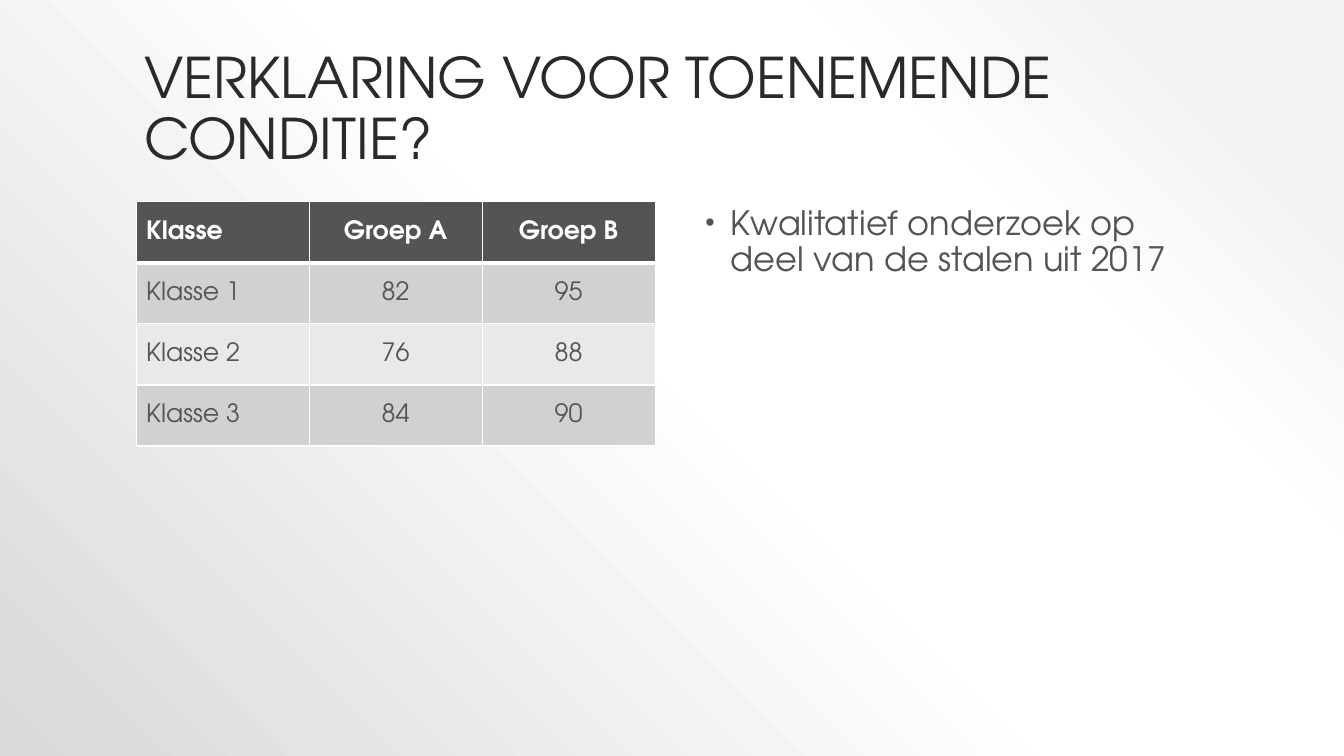
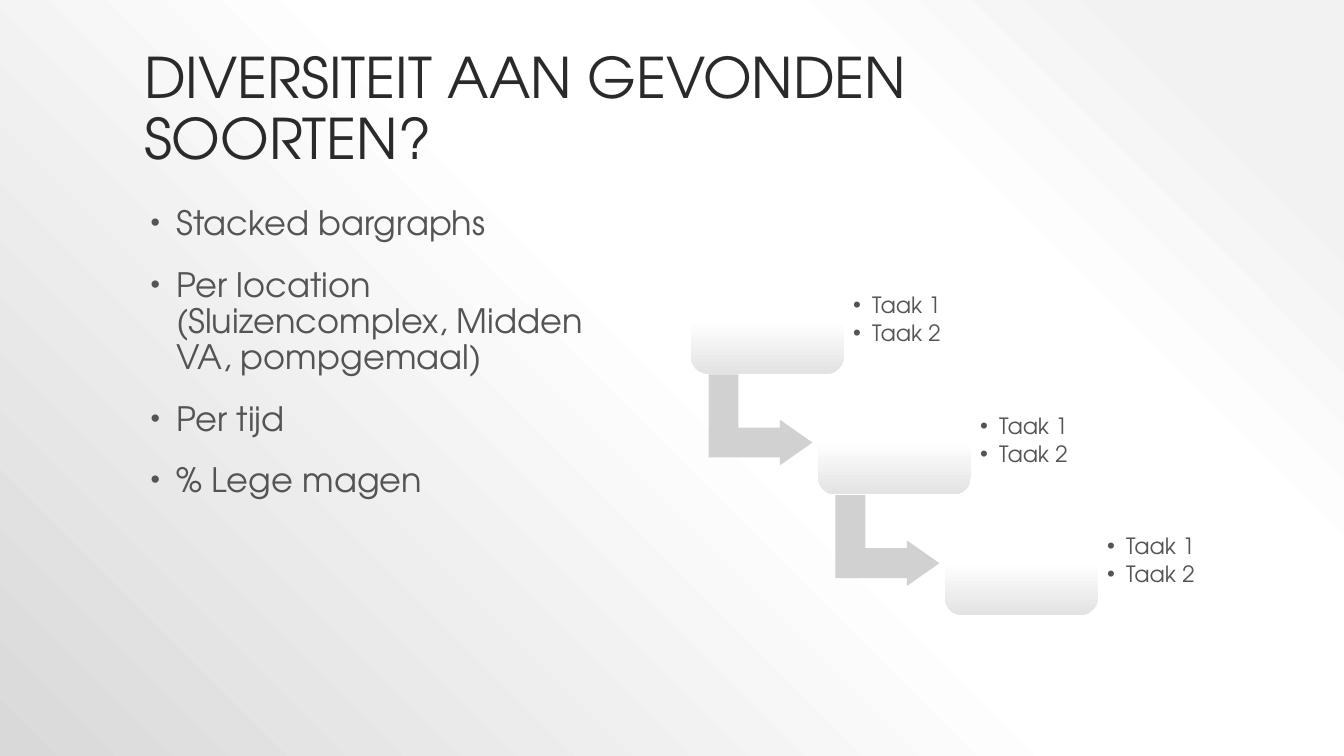
from dataclasses import dataclass

from lxml import etree
from pptx import Presentation
from pptx import util as u
from pptx.dml.color import RGBColor
from pptx.enum import shapes, text
from pptx.oxml import ns

Cm, Pt = u.Cm, u.Pt


@dataclass(frozen=True)
class Theme:
    font: str = "TeX Gyre Adventor"
    title: str = "2A2A2A"
    body: str = "545454"
    white: str = "FFFFFF"
    band: str = "D1D1D1"
    band_light: str = "E9E9E9"
    title_size: int = 40
    body_size: int = 24
    table_size: int = 18
    task_size: int = 16
    line_spacing: float = 0.9
    background: tuple = ((10, "F2F2F2"), (28, "FFFFFF"), (48, "FFFFFF"), (100, "D9D9D9"))
    step: tuple = ((0, "FFFFFF"), (50, "FFFFFF"), (100, "E3E3E3"))


T = Theme()

# Content columns
LEFT, RIGHT, TOP = 3.43, 17.41, 5.08
COL_W, COL_H = 13.08, 12.07


def child(parent, tag, **attrs):
    return etree.SubElement(parent, ns.qn(tag), {k: str(v) for k, v in attrs.items()})


# Fills
def set_solid(fill, color):
    fill.solid()
    fill.fore_color.rgb = RGBColor.from_string(color)


def set_gradient(fill, parent, stops):
    """Replace the fill in parent by a gradient and return it, ready for its direction."""
    fill.solid()
    old = parent.find(ns.qn("a:solidFill"))
    grad = etree.Element(ns.qn("a:gradFill"), rotWithShape="1")
    stop_list = child(grad, "a:gsLst")
    for pos, color in stops:
        child(child(stop_list, "a:gs", pos=pos * 1000), "a:srgbClr", val=color)
    parent.replace(old, grad)
    return grad


def set_background(master):
    fill = master.background.fill
    fill.solid()
    bg = master.element.find(".//" + ns.qn("p:bgPr"))
    radial = child(set_gradient(fill, bg, T.background), "a:path", path="circle")
    child(radial, "a:fillToRect", l=100000, b=100000)


# Text
def add_run(p, words, size, color, bold=False):
    r = p.add_run()
    r.text = words
    r.font.name, r.font.size, r.font.bold = T.font, Pt(size), bold
    r.font.color.rgb = RGBColor.from_string(color)


def add_box(container, x, y, w, h, anchor=text.MSO_ANCHOR.TOP):
    tf = container.add_textbox(Cm(x), Cm(y), Cm(w), Cm(h)).text_frame
    tf.word_wrap = True
    tf.vertical_anchor = anchor
    return tf


def add_title(s, words):
    tf = add_box(s.shapes, 3.38, 0.76, 27.1, 3.68, text.MSO_ANCHOR.BOTTOM)
    p = tf.paragraphs[0]
    p.line_spacing = T.line_spacing
    add_run(p, words, T.title_size, T.title)


def add_bullets(tf, items, size, margin, hang, before=0, after=0, bullet_size=100):
    for i, item in enumerate(items):
        p = tf.paragraphs[0] if i == 0 else tf.add_paragraph()
        p.line_spacing = T.line_spacing
        p.space_before = Pt(before if i else 0)
        p.space_after = Pt(after)
        pPr = p._p.get_or_add_pPr()
        pPr.set("marL", str(Cm(margin)))
        pPr.set("indent", str(-Cm(hang)))
        child(child(pPr, "a:buClr"), "a:srgbClr", val=T.body)
        child(pPr, "a:buSzPct", val=bullet_size * 1000)
        child(pPr, "a:buFont", typeface="Arial")
        child(pPr, "a:buChar", char="•")
        add_run(p, item, size, T.body)


def add_body(s, x, items):
    tf = add_box(s.shapes, x, TOP, COL_W, COL_H)
    add_bullets(tf, items, T.body_size, 0.76, 0.64, before=18, bullet_size=80)


# Table
def set_borders(cell, bottom):
    tcPr = cell._tc.get_or_add_tcPr()
    for side, width in (("L", 1), ("R", 1), ("T", 1), ("B", bottom)):
        ln = child(tcPr, "a:ln" + side, w=Pt(width))
        child(child(ln, "a:solidFill"), "a:srgbClr", val=T.white)


def add_table(s, rows):
    col_w, row_h = COL_W / len(rows[0]), 1.54
    tbl = s.shapes.add_table(len(rows), len(rows[0]), Cm(LEFT), Cm(TOP),
                             Cm(COL_W), Cm(row_h * len(rows))).table
    tbl.horz_banding = False
    for col in tbl.columns:
        col.width = Cm(col_w)
    for i, row in enumerate(rows):
        tbl.rows[i].height = Cm(row_h)
        header = i == 0
        fill = T.body if header else (T.band_light, T.band)[i % 2]
        for j, value in enumerate(row):
            cell = tbl.cell(i, j)
            cell.vertical_anchor = text.MSO_ANCHOR.MIDDLE
            set_borders(cell, 3 if header else 1)
            set_solid(cell.fill, fill)
            p = cell.text_frame.paragraphs[0]
            p.alignment = text.PP_ALIGN.CENTER if j else text.PP_ALIGN.LEFT
            add_run(p, value, T.table_size, T.white if header else T.body, header)


# Step-down process
def add_preset(container, kind, x, y, w, h, adjustments):
    sp = container.add_shape(kind, Cm(x), Cm(y), Cm(w), Cm(h))
    sp.shadow.inherit = False
    sp.line.fill.background()
    for i, value in enumerate(adjustments):
        sp.adjustments[i] = value
    return sp


def add_arrow(container, x, y):
    sp = add_preset(container, shapes.MSO_SHAPE.BENT_UP_ARROW, x, y, 2.29, 2.62,
                    (0.328, 0.25, 0.358))
    sp.rotation = 90
    set_solid(sp.fill, T.band)


def add_step(container, x, y, w):
    sp = add_preset(container, shapes.MSO_SHAPE.ROUNDED_RECTANGLE, x, y, w, 2.69, (0.167,))
    grad = set_gradient(sp.fill, sp._element.spPr, T.step)
    child(grad, "a:lin", ang=90 * 60000, scaled=0)


def add_tasks(container, x, y, tasks):
    tf = add_box(container, x, y, 2.82, 2.18, text.MSO_ANCHOR.MIDDLE)
    tf.margin_left = tf.margin_right = tf.margin_top = tf.margin_bottom = Cm(0.23)
    add_bullets(tf, tasks, T.task_size, 0.48, 0.48, after=2.8)


def add_process(s, steps, tasks):
    container = s.shapes.add_group_shape().shapes
    step_w, dx, dy = 3.86, 3.2, 3.04
    for i in range(steps):
        x, y = RIGHT + i * dx, 6.73 + i * dy
        if i < steps - 1:
            add_arrow(container, x + 0.61, y + 2.54)
        add_step(container, x, y, step_w)
        add_tasks(container, x + step_w, y + 0.25, tasks)


def add_slide(prs, title):
    s = prs.slides.add_slide(prs.slide_layouts[6])
    add_title(s, title)
    return s


def main():
    prs = Presentation()
    prs.slide_width, prs.slide_height = Cm(33.87), Cm(19.05)
    set_background(prs.slide_master)

    # Condition per class
    s = add_slide(prs, "VERKLARING VOOR TOENEMENDE CONDITIE?")
    add_table(s, [("Klasse", "Groep A", "Groep B"),
                  ("Klasse 1", "82", "95"),
                  ("Klasse 2", "76", "88"),
                  ("Klasse 3", "84", "90")])
    add_body(s, RIGHT, ["Kwalitatief onderzoek op deel van de stalen uit 2017"])

    # Species diversity
    s = add_slide(prs, "DIVERSITEIT AAN GEVONDEN SOORTEN?")
    add_process(s, 3, ["Taak 1", "Taak 2"])
    add_body(s, LEFT, ["Stacked bargraphs",
                       "Per location (Sluizencomplex, Midden VA, pompgemaal)",
                       "Per tijd",
                       "% Lege magen"])
    prs.save("out.pptx")


if __name__ == "__main__":
    main()
